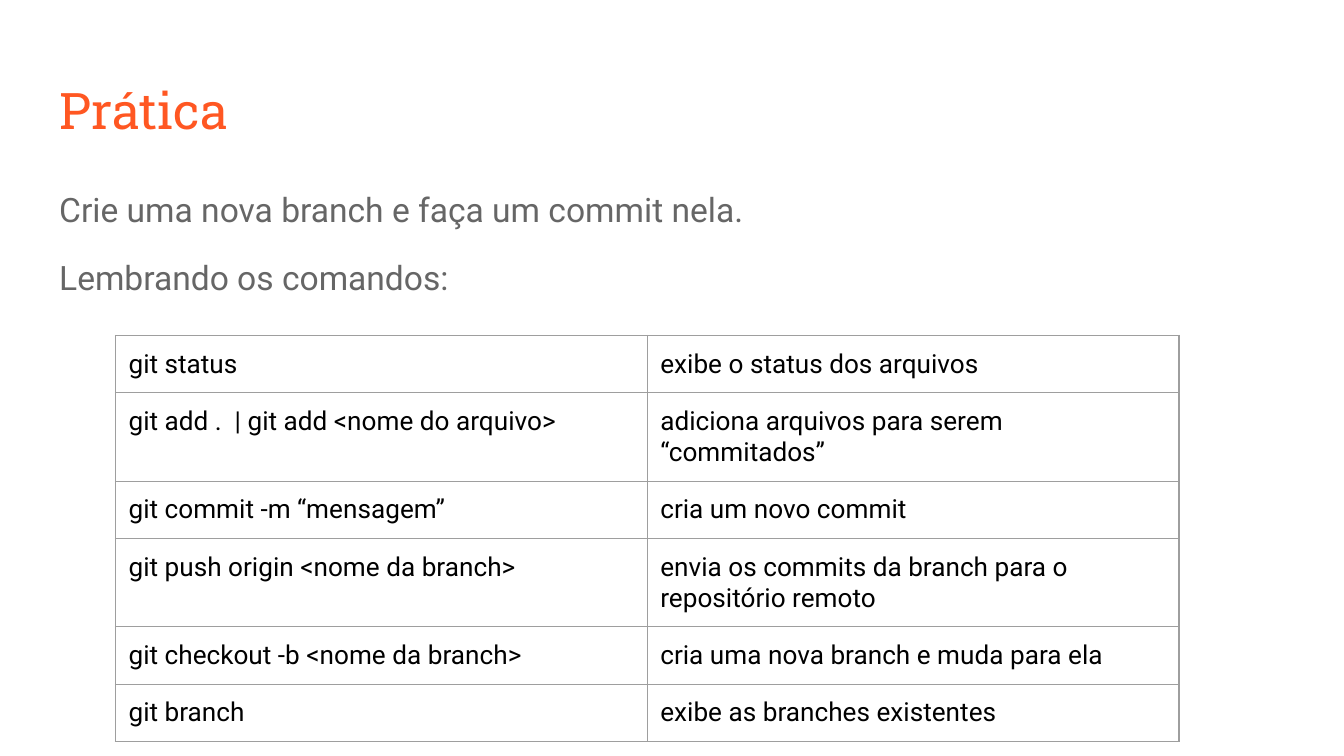
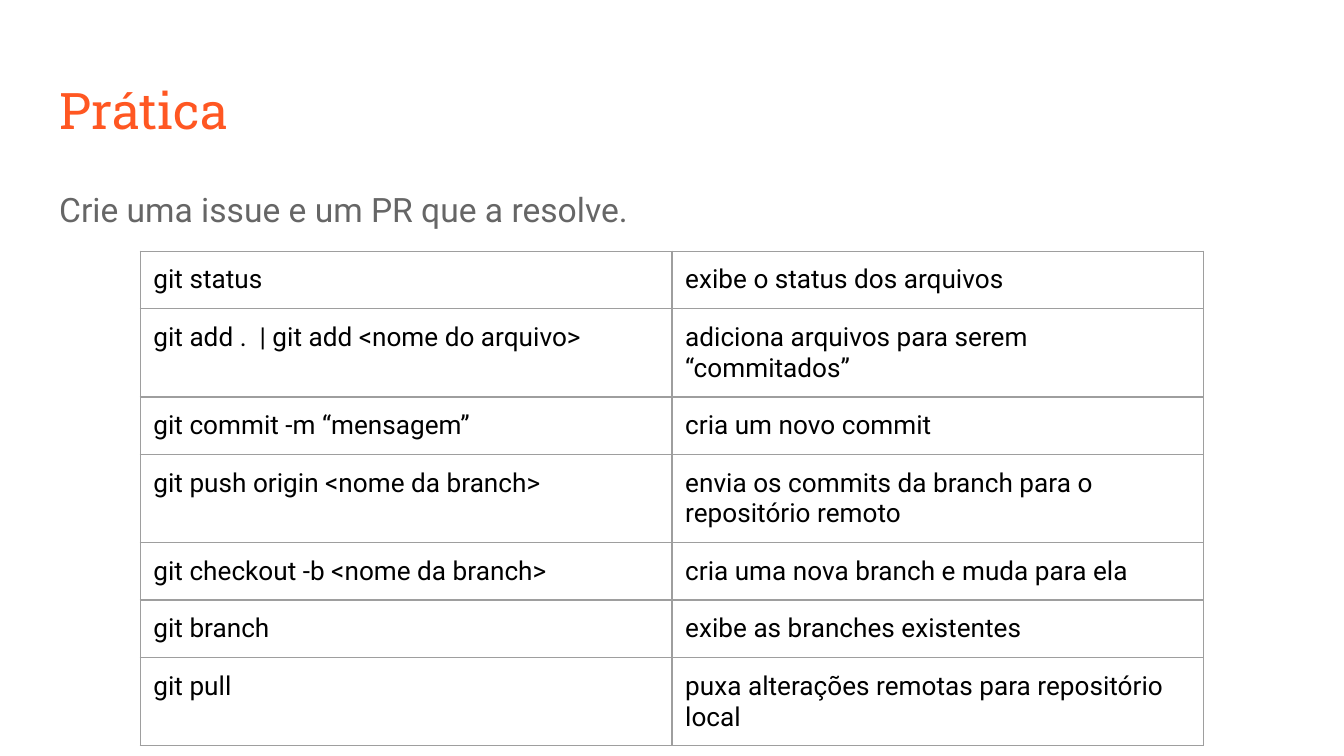
import pptx
import pptx.dml.color
import pptx.enum.text
import pptx.oxml
import pptx.oxml.ns
import pptx.util

Cm = pptx.util.Cm
Pt = pptx.util.Pt

COLORS = {"title": "FF5722", "body": "666666", "cell": "000000", "border": "9E9E9E"}
TITLE_FONT = "Roboto Slab"
BODY_FONT = "Roboto"
INSET = Cm(0.25)
MARGIN_LEFT = Cm(0.87)
CONTENT_WIDTH = Cm(23.67)
COLUMN_WIDTH = Cm(10.05)
ROW_HEIGHT = Cm(1.07)
BORDER_WIDTH = Pt(0.75)
TITLE_ONLY_LAYOUT = 5

COMMANDS = [
    ("git status", "exibe o status dos arquivos"),
    ("git add .  | git add <nome do arquivo>", "adiciona arquivos para serem “commitados”"),
    ("git commit -m “mensagem”", "cria um novo commit"),
    ("git push origin <nome da branch>", "envia os commits da branch para o repositório remoto"),
    ("git checkout -b <nome da branch>", "cria uma nova branch e muda para ela"),
    ("git branch", "exibe as branches existentes"),
]
PULL_COMMAND = ("git pull", "puxa alterações remotas para repositório local")


def format_paragraph(paragraph, font_name, size, color):
    paragraph.alignment = pptx.enum.text.PP_ALIGN.LEFT
    for run in paragraph.runs:
        run.font.name = font_name
        run.font.size = Pt(size)
        run.font.color.rgb = pptx.dml.color.RGBColor.from_string(COLORS[color])


def set_insets(holder):
    """Give a text frame or a table cell the common inner margins."""
    holder.margin_left = holder.margin_right = INSET
    holder.margin_top = holder.margin_bottom = INSET


def prepare_frame(text_frame):
    text_frame.word_wrap = True
    text_frame.auto_size = pptx.enum.text.MSO_AUTO_SIZE.NONE
    text_frame.vertical_anchor = pptx.enum.text.MSO_ANCHOR.TOP
    set_insets(text_frame)


def add_title(slide, text):
    title = slide.shapes.title
    title.left, title.top = MARGIN_LEFT, Cm(1.24)
    title.width, title.height = CONTENT_WIDTH, Cm(1.6)
    prepare_frame(title.text_frame)
    title.text_frame.text = text
    format_paragraph(title.text_frame.paragraphs[0], TITLE_FONT, 27, "title")


def add_instructions(slide, lines):
    box = slide.shapes.add_textbox(MARGIN_LEFT, Cm(3.2), CONTENT_WIDTH, Cm(9.5))
    prepare_frame(box.text_frame)
    box.text_frame.text = "\n".join(lines)
    for index, paragraph in enumerate(box.text_frame.paragraphs):
        paragraph.line_spacing = 1.15
        if index:
            paragraph.space_before = Pt(12)
        format_paragraph(paragraph, BODY_FONT, 18, "body")


def add_borders(cell):
    properties = cell._tc.get_or_add_tcPr()
    namespace = pptx.oxml.ns.nsdecls("a")
    for side in "LRTB":
        properties.append(pptx.oxml.parse_xml(
            f'<a:ln{side} {namespace} w="{int(BORDER_WIDTH)}"><a:solidFill>'
            f'<a:srgbClr val="{COLORS["border"]}"/></a:solidFill></a:ln{side}>'))


def add_command_table(slide, commands, left, top):
    frame = slide.shapes.add_table(len(commands), 2, left, top,
                                   2 * COLUMN_WIDTH, len(commands) * ROW_HEIGHT)
    table = frame.table
    table.first_row = table.horz_banding = False
    for column in table.columns:
        column.width = COLUMN_WIDTH
    for row, texts in zip(table.rows, commands):
        row.height = ROW_HEIGHT
        for cell, text in zip(row.cells, texts):
            cell.text_frame.text = text
            set_insets(cell)
            format_paragraph(cell.text_frame.paragraphs[0], BODY_FONT, 14, "cell")
            add_borders(cell)
            cell.fill.background()


def add_practice_slide(presentation, instructions, commands, table_left, table_top):
    slide = presentation.slides.add_slide(presentation.slide_layouts[TITLE_ONLY_LAYOUT])
    add_title(slide, "Prática")
    add_instructions(slide, instructions)
    add_command_table(slide, commands, table_left, table_top)


def main():
    presentation = pptx.Presentation()
    presentation.slide_width = Cm(25.4)
    presentation.slide_height = Cm(14.29)
    add_practice_slide(
        presentation,
        ["Crie uma nova branch e faça um commit nela.", "Lembrando os comandos:"],
        COMMANDS, Cm(2.18), Cm(6.34))
    add_practice_slide(
        presentation,
        ["Crie uma issue e um PR que a resolve."],
        COMMANDS + [PULL_COMMAND], Cm(2.65), Cm(4.75))
    presentation.save("out.pptx")


if __name__ == "__main__":
    main()
